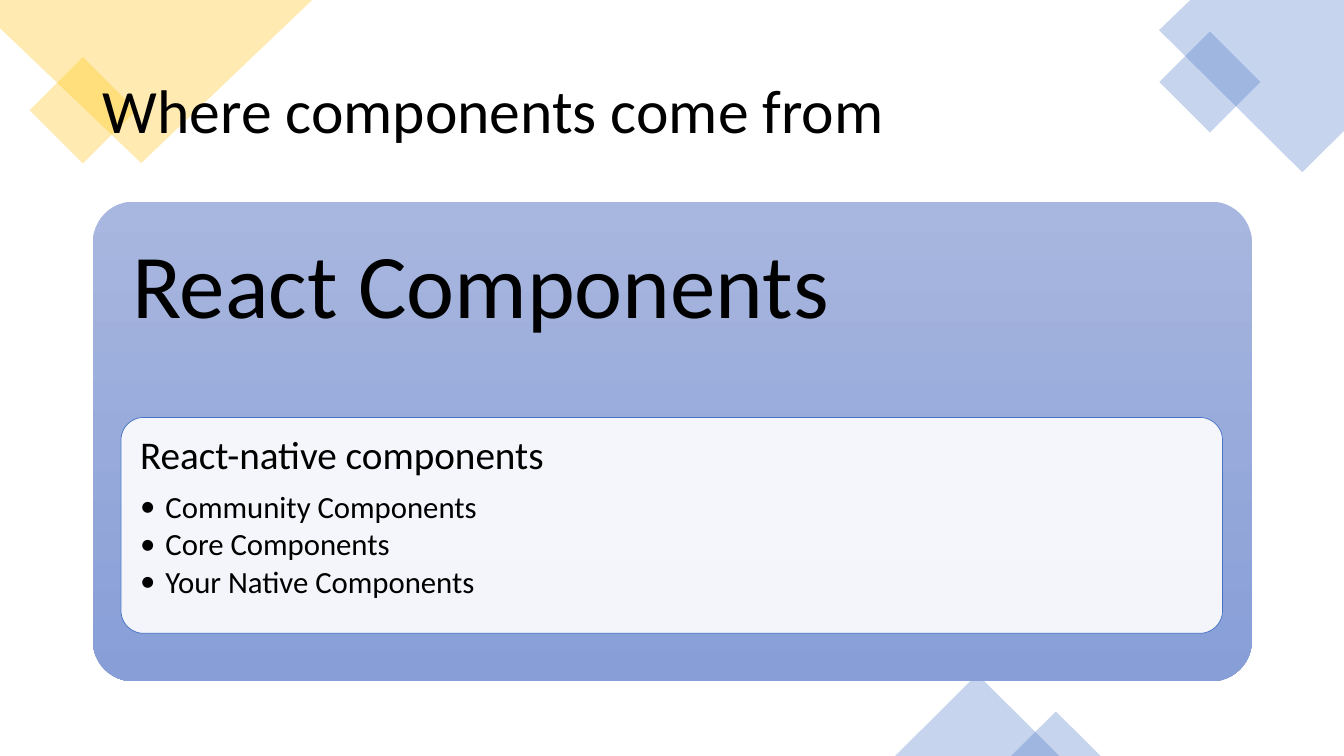
from lxml.etree import SubElement
from pptx import Presentation
from pptx.dml.color import RGBColor
from pptx.enum.shapes import MSO_SHAPE
from pptx.enum.text import MSO_ANCHOR
from pptx.oxml.ns import qn
from pptx.util import Cm, Pt

TITLE = "Where components come from"
HEADING = "React Components"
GROUP = "React-native components"
ITEMS = ["Community Components", "Core Components", "Your Native Components"]

COLORS = {"gold": "FFC000", "blue": "4472C4", "white": "FFFFFF",
          "black": "000000", "top": "A8B7DF", "bottom": "889ED7"}
FONT = "Calibri"
WIDE, HIGH = 33.87, 19.05

# Corner decorations, in cm
SQUARES = [((1.14, 1.83, 1.9, 1.9), "gold"), ((29.59, 1.17, 1.8, 1.8), "blue")]
PEAKS = [(22.56, 16.99, 4.14, 2.06), (25.48, 17.93, 2.26, 1.12)]
CORNERS = [
    ([(0, 0), (7.87, 0), (3.56, 4.11), (0, 0.71)], "gold"),
    ([(30, 0), (WIDE, 0), (WIDE, 3.3), (32.82, 4.34), (29.21, 0.76)], "blue"),
]

# Main areas, in cm
TITLE_BOX = (2.34, 1.02, 29.21, 3.68)
PANEL = (2.34, 5.08, 29.21, 12.09)
HEAD_BOX = (2.64, 5.36, 28.6, 4.8)
CARD = (3.05, 10.52, 27.76, 5.44)
LIST_BOX = (3.23, 10.67, 27.41, 5.11)

deck = Presentation()
deck.slide_width, deck.slide_height = Cm(WIDE), Cm(HIGH)
slide = deck.slides.add_slide(deck.slide_layouts[6])
shapes = slide.shapes


def rgb(name):
    return RGBColor.from_string(COLORS[name])


def paint(shape, color, alpha):
    """Give a shape a translucent fill with no outline or shadow."""
    shape.shadow.inherit = False
    shape.line.fill.background()
    shape.fill.solid()
    shape.fill.fore_color.rgb = rgb(color)
    tint = shape.fill._xPr.find(".//" + qn("a:srgbClr"))
    SubElement(tint, qn("a:alpha")).set("val", str(alpha * 1000))


def add_shape(kind, box):
    return shapes.add_shape(kind, *map(Cm, box))


def add_square(box, color):
    square = add_shape(MSO_SHAPE.RECTANGLE, box)
    square.rotation = 45
    paint(square, color, 30)


def add_corner(points, color):
    spots = [(Cm(x), Cm(y)) for x, y in points]
    pen = shapes.build_freeform(*spots[0])
    pen.add_line_segments(spots[1:], close=True)
    paint(pen.convert_to_shape(), color, 30)


def add_text(box, lines, inset=(0.25, 0.13), anchor=MSO_ANCHOR.TOP):
    """Add a text box; each line is (text, size, space after, bulleted)."""
    frame = shapes.add_textbox(*map(Cm, box)).text_frame
    frame.word_wrap = True
    frame.vertical_anchor = anchor
    side, edge = map(Cm, inset)
    frame.margin_left = frame.margin_right = side
    frame.margin_top = frame.margin_bottom = edge
    for i, (text, size, after, dot) in enumerate(lines):
        para = frame.paragraphs[0] if i == 0 else frame.add_paragraph()
        para.text = text
        para.line_spacing = 0.9
        para.space_after = Pt(after)
        para.font.name = FONT
        para.font.size = Pt(size)
        para.font.color.rgb = rgb("black")
        if dot:
            para.level = 1
            props = para._p.get_or_add_pPr()
            props.set("marL", str(Cm(0.64)))
            props.set("indent", str(-Cm(0.64)))
            last = props.find(qn("a:defRPr"))
            for tag, key, value in (("a:buFont", "typeface", FONT),
                                    ("a:buChar", "char", "•")):
                last.addprevious(props.makeelement(qn(tag), {key: value}))


add_square(*SQUARES[0])
for points, color in CORNERS:
    add_corner(points, color)
add_square(*SQUARES[1])
for box in PEAKS:
    paint(add_shape(MSO_SHAPE.ISOSCELES_TRIANGLE, box), "blue", 30)

add_text(TITLE_BOX, [(TITLE, 44, 0, False)], anchor=MSO_ANCHOR.MIDDLE)

panel = add_shape(MSO_SHAPE.ROUNDED_RECTANGLE, PANEL)
panel.adjustments[0] = 0.085
panel.shadow.inherit = False
panel.line.fill.background()
panel.fill.gradient()
panel.fill.gradient_angle = 270
for stop, name, place in zip(panel.fill.gradient_stops, ("top", "bottom"), (0, 1)):
    stop.color.rgb = rgb(name)
    stop.position = place
add_text(HEAD_BOX, [(HEADING, 65, 0, False)], (0.69, 0.69))

card = add_shape(MSO_SHAPE.ROUNDED_RECTANGLE, CARD)
card.adjustments[0] = 0.105
paint(card, "white", 90)
card.line.color.rgb = rgb("blue")
card.line.width = Pt(0.5)
add_text(LIST_BOX,
         [(GROUP, 28, 10, False)] + [(item, 22, 3, True) for item in ITEMS],
         (0.3, 0.3))

deck.save("out.pptx")
